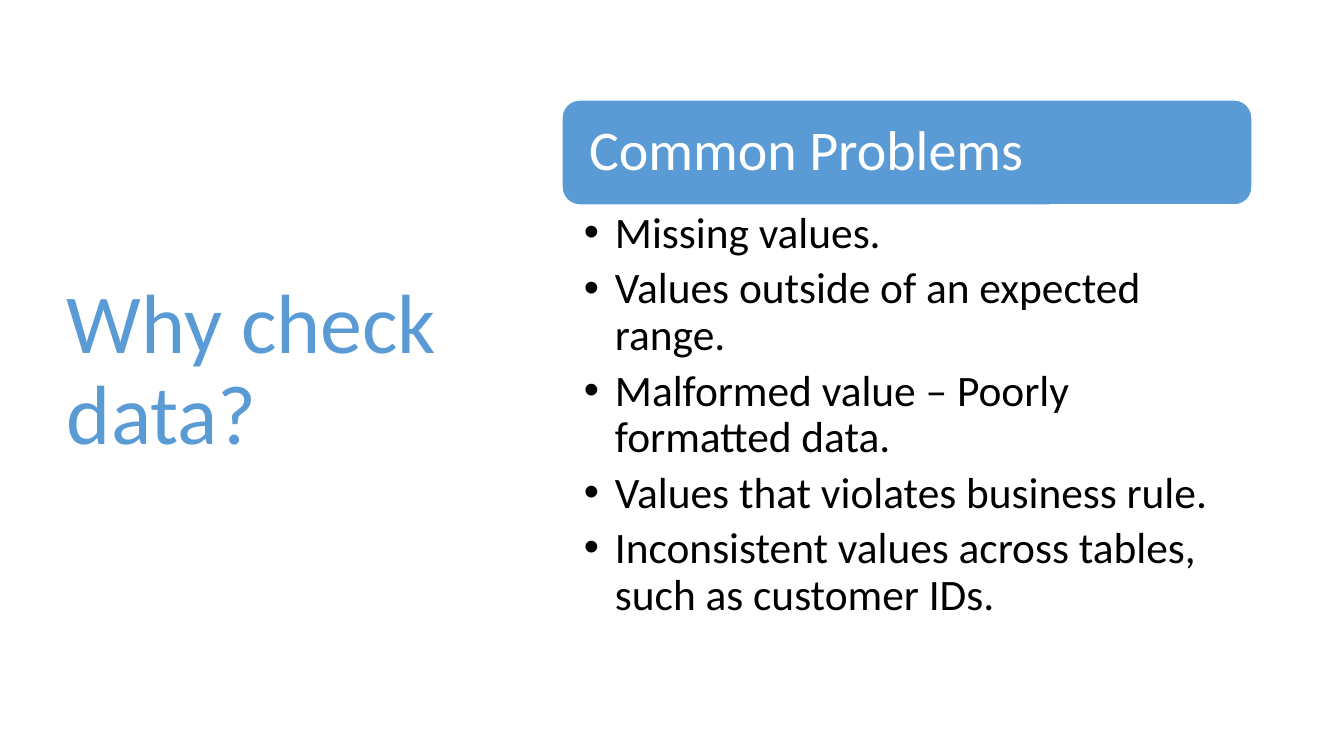
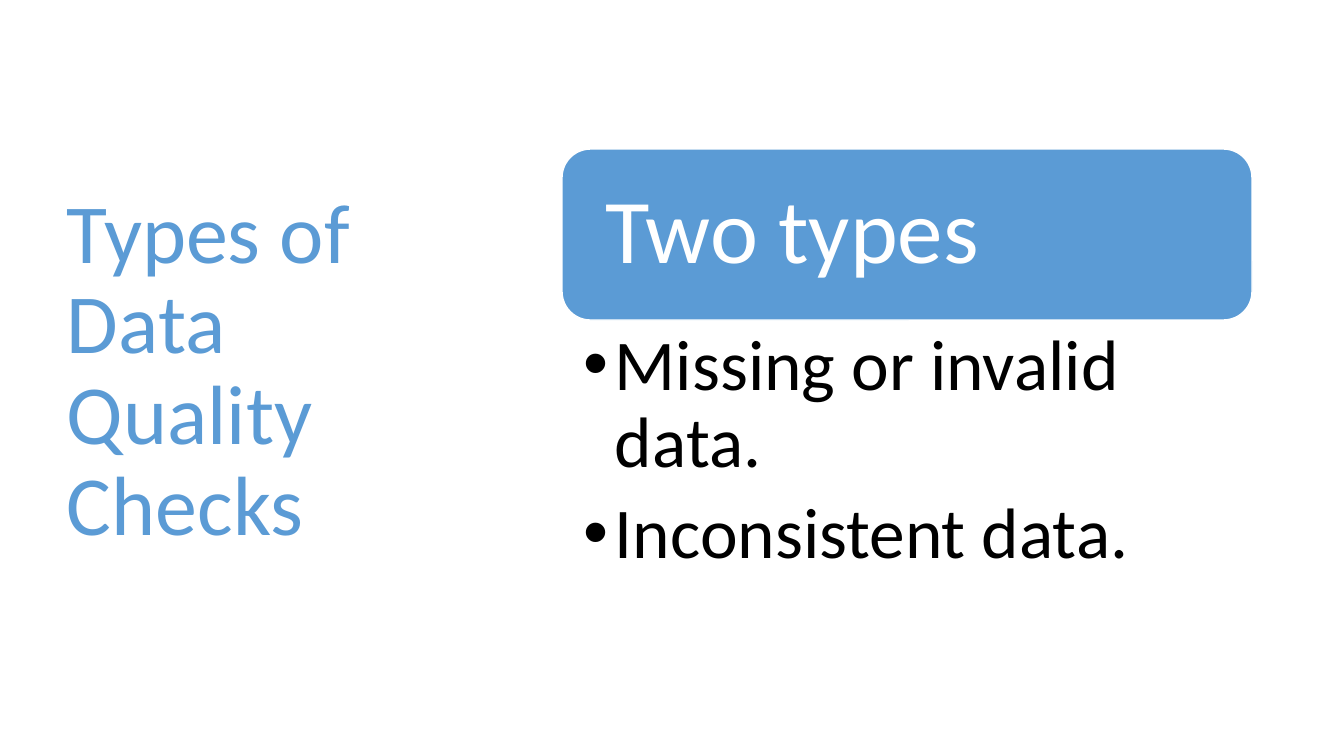
"""Build two slides that each pair a title with a headed bullet list."""
from dataclasses import dataclass

from lxml import etree
from pptx import Presentation
from pptx.dml.color import RGBColor
from pptx.enum.shapes import MSO_SHAPE
from pptx.enum.text import MSO_ANCHOR, PP_ALIGN
from pptx.oxml.ns import qn
from pptx.util import Emu, Pt

ROUNDED = MSO_SHAPE.ROUNDED_RECTANGLE
TOP = MSO_ANCHOR.TOP
MIDDLE = MSO_ANCHOR.MIDDLE
LEFT = PP_ALIGN.LEFT

PX_PER_INCH = 100.8
FONT = "Calibri"
BLUE = "5B9BD5"
WHITE = "FFFFFF"
BLACK = "000000"
LINE_SPACING = 0.9
BULLET_GAP = 0.2
BULLET_INDENT = 31
TITLE_SIZE = 60
PANEL_LEFT = 562
PANEL_WIDTH = 690


@dataclass(frozen=True)
class Area:
    left: int
    top: int
    width: int
    height: int


@dataclass(frozen=True)
class Insets:
    left: int
    top: int
    right: int
    bottom: int


@dataclass(frozen=True)
class Panel:
    top: int
    header_height: int
    header_size: int
    header_inset: int
    body_height: int
    body_size: int
    body_insets: Insets


@dataclass(frozen=True)
class Topic:
    title: str
    heading: str
    points: tuple[str, ...]
    panel: Panel


TITLE_AREA = Area(57, 69, 419, 606)
TITLE_INSETS = Insets(10, 5, 10, 5)

TOPICS = (
    Topic(
        "Why check data?",
        "Common Problems",
        (
            "Missing values.",
            "Values outside of an expected range.",
            "Malformed value – Poorly formatted data.",
            "Values that violates business rule.",
            "Inconsistent values across tables, such as customer IDs.",
        ),
        Panel(100, 105, 40, 22, 438, 31, Insets(22, 6, 31, 6)),
    ),
    Topic(
        "Types of Data Quality Checks",
        "Two types",
        ("Missing or invalid data.", "Inconsistent data."),
        Panel(149, 171, 65, 35, 274, 51, Insets(22, 9, 51, 9)),
    ),
)


def px(length: int) -> Emu:
    return Emu(round(length * 914400 / PX_PER_INCH))


def color(value: str) -> RGBColor:
    return RGBColor.from_string(value)


def place(area: Area) -> tuple[Emu, ...]:
    return px(area.left), px(area.top), px(area.width), px(area.height)


def write(shape, lines: tuple[str, ...], size: int, ink: str, insets: Insets, anchor) -> None:
    frame = shape.text_frame
    frame.text = "\n".join(lines)
    frame.word_wrap = True
    frame.vertical_anchor = anchor
    frame.margin_left = px(insets.left)
    frame.margin_top = px(insets.top)
    frame.margin_right = px(insets.right)
    frame.margin_bottom = px(insets.bottom)
    for paragraph in frame.paragraphs:
        paragraph.alignment = LEFT
        paragraph.line_spacing = LINE_SPACING
        for span in paragraph.runs:
            span.font.name = FONT
            span.font.size = Pt(size)
            span.font.color.rgb = color(ink)


def add_bullet(paragraph, size: int) -> None:
    paragraph.space_after = Pt(round(size * BULLET_GAP))
    properties = paragraph._p.get_or_add_pPr()
    properties.set("marL", str(px(BULLET_INDENT)))
    properties.set("indent", str(-px(BULLET_INDENT)))
    etree.SubElement(properties, qn("a:buFont"), typeface="Arial")
    etree.SubElement(properties, qn("a:buChar"), char="•")


def draw_title(page, title: str) -> None:
    box = page.shapes.add_textbox(*place(TITLE_AREA))
    write(box, (title,), TITLE_SIZE, BLUE, TITLE_INSETS, MIDDLE)


def draw_header(page, heading: str, panel: Panel) -> None:
    area = Area(PANEL_LEFT, panel.top, PANEL_WIDTH, panel.header_height)
    header = page.shapes.add_shape(ROUNDED, *place(area))
    header.shadow.inherit = False
    header.fill.solid()
    header.fill.fore_color.rgb = color(BLUE)
    header.line.color.rgb = color(WHITE)
    header.line.width = Pt(1)
    insets = Insets(*[panel.header_inset] * 4)
    write(header, (heading,), panel.header_size, WHITE, insets, MIDDLE)


def draw_points(page, points: tuple[str, ...], panel: Panel) -> None:
    top = panel.top + panel.header_height
    box = page.shapes.add_textbox(*place(Area(PANEL_LEFT, top, PANEL_WIDTH, panel.body_height)))
    write(box, points, panel.body_size, BLACK, panel.body_insets, TOP)
    for paragraph in box.text_frame.paragraphs:
        add_bullet(paragraph, panel.body_size)


def main() -> None:
    deck = Presentation()
    deck.slide_width = px(1344)
    deck.slide_height = px(756)
    blank = deck.slide_layouts[6]
    for topic in TOPICS:
        page = deck.slides.add_slide(blank)
        draw_title(page, topic.title)
        draw_header(page, topic.heading, topic.panel)
        draw_points(page, topic.points, topic.panel)
    deck.save("out.pptx")


if __name__ == "__main__":
    main()
